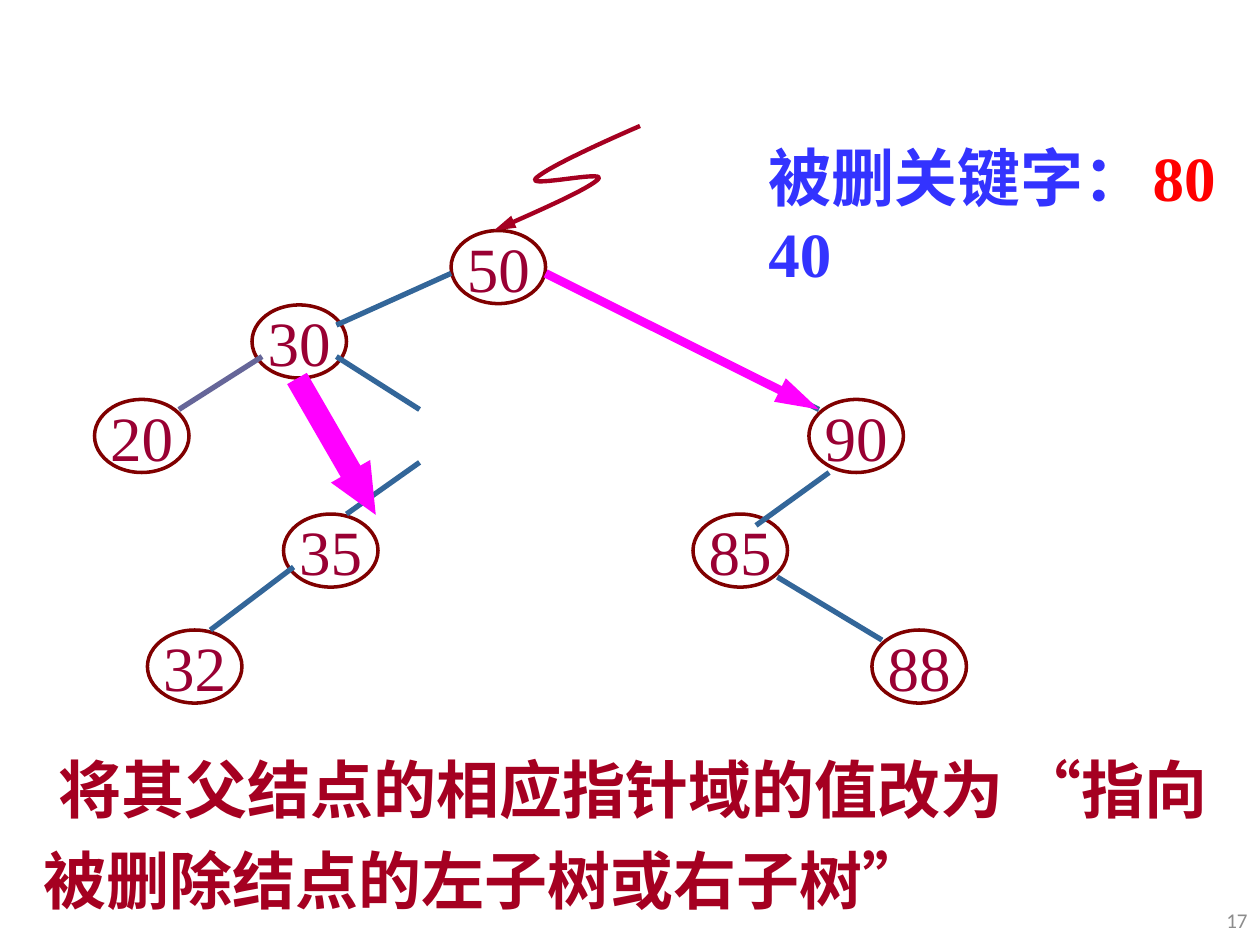
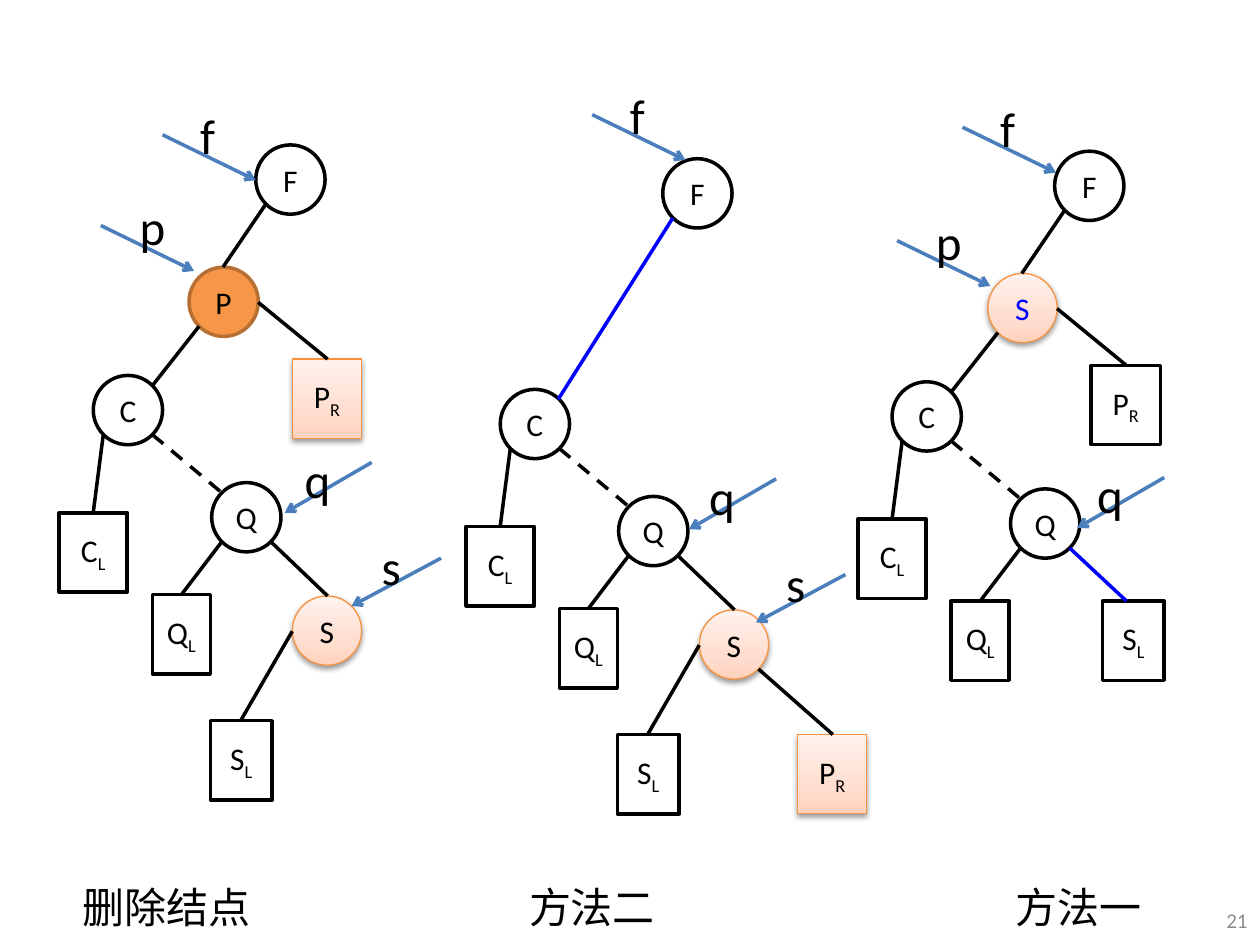
from lxml import etree
from pptx import Presentation
from pptx.dml.color import RGBColor
from pptx.enum.dml import MSO_LINE
from pptx.enum.shapes import MSO_CONNECTOR, MSO_SHAPE
from pptx.enum.text import MSO_ANCHOR, PP_ALIGN
from pptx.oxml import parse_xml
from pptx.oxml.ns import nsdecls, qn
from pptx.util import Inches, Pt

STRAIGHT = MSO_CONNECTOR.STRAIGHT
OVAL, BOX, DOWN_ARROW = MSO_SHAPE.OVAL, MSO_SHAPE.RECTANGLE, MSO_SHAPE.DOWN_ARROW
MIDDLE = MSO_ANCHOR.MIDDLE
LEFT, CENTER, RIGHT = PP_ALIGN.LEFT, PP_ALIGN.CENTER, PP_ALIGN.RIGHT
DASH = MSO_LINE.DASH

BLACK = RGBColor(0x00, 0x00, 0x00)
WHITE = RGBColor(0xFF, 0xFF, 0xFF)
GRAY = RGBColor(0x8C, 0x8C, 0x8C)
MAROON = RGBColor(0x80, 0x00, 0x00)
KEY_RED = RGBColor(0x99, 0x00, 0x33)
DARK_RED = RGBColor(0xA5, 0x00, 0x21)
RED = RGBColor(0xFF, 0x00, 0x00)
TITLE_BLUE = RGBColor(0x33, 0x33, 0xFF)
EDGE_BLUE = RGBColor(0x33, 0x66, 0x99)
EDGE_PURPLE = RGBColor(0x66, 0x66, 0x99)
MAGENTA = RGBColor(0xFF, 0x00, 0xFF)
BLUE = RGBColor(0x00, 0x00, 0xFF)
POINTER_BLUE = RGBColor(0x4B, 0x7E, 0xBC)
ORANGE = RGBColor(0xF7, 0x96, 0x46)
ORANGE_EDGE = RGBColor(0xB7, 0x6F, 0x34)
SOFT_EDGE = RGBColor(0xF6, 0x92, 0x40)

SOFT_FILL = (
    f'<a:gradFill {nsdecls("a")} rotWithShape="1"><a:gsLst>'
    '<a:gs pos="0"><a:srgbClr val="FFD2BD"/></a:gs>'
    '<a:gs pos="35000"><a:srgbClr val="FFDED0"/></a:gs>'
    '<a:gs pos="100000"><a:srgbClr val="FFF2ED"/></a:gs>'
    '</a:gsLst><a:lin ang="16200000" scaled="1"/></a:gradFill>'
)
SOFT_SHADOW = (
    f'<a:outerShdw {nsdecls("a")} blurRad="40000" dist="20000" dir="5400000" rotWithShape="0">'
    '<a:srgbClr val="000000"><a:alpha val="38000"/></a:srgbClr></a:outerShdw>'
)
SERIF = "Times New Roman"
LONG_HEAD = {"type": "triangle", "len": "lg"}
OPEN_HEAD = {"type": "arrow"}


def write(tf, text, size, color, font="Calibri", align=LEFT, bold=None, wrap=False, sub=""):
    tf.word_wrap = wrap
    p = tf.paragraphs[0]
    p.text = text
    p.alignment = align
    if sub:
        r = p.add_run()
        r.text = sub
        r.font._element.set("baseline", "-25000")
    for r in p.runs:
        r.font.name = font
        r.font.size = Pt(size)
        r.font.bold = bold
        r.font.color.rgb = color


def add_line(s, x1, y1, x2, y2, color=BLACK, width=2, head=None, dash=None):
    c = s.shapes.add_connector(STRAIGHT, Inches(x1), Inches(y1), Inches(x2), Inches(y2))
    c.line.color.rgb = color
    c.line.width = Pt(width)
    if dash:
        c.line.dash_style = dash
    if head:
        etree.SubElement(c.line._get_or_add_ln(), qn("a:tailEnd"), head)
    etree.SubElement(c._element.spPr, qn("a:effectLst"))


prs = Presentation()
prs.slide_width = Inches(10)
prs.slide_height = Inches(7.5)
blank = prs.slide_layouts[6]

s = prs.slides.add_slide(blank)
keys = [
    ("50", 3.58, 1.83), ("30", 2, 2.42), ("20", 0.75, 3.17), ("90", 6.42, 3.17),
    ("85", 5.5, 4.08), ("35", 2.25, 4.08), ("88", 6.92, 5), ("32", 1.17, 5),
]
for key, x, y in keys:
    sp = s.shapes.add_shape(OVAL, Inches(x), Inches(y), Inches(0.75), Inches(0.58))
    sp.shadow.inherit = False
    sp.fill.background()
    sp.line.color.rgb = MAROON
    sp.line.width = Pt(2)
    sp.text_frame.vertical_anchor = MIDDLE
    write(sp.text_frame, key, 36, KEY_RED, SERIF, CENTER)

edges = [
    (3.58, 2.17, 2.67, 2.58), (2.67, 2.83, 3.33, 3.25), (3.33, 3.67, 2.75, 4.08),
    (5.83, 2.92, 6.5, 3.25), (6.58, 3.75, 6, 4.17), (6.17, 4.58, 7, 5.08),
    (2.33, 4.5, 1.67, 5),
]
for edge in edges:
    add_line(s, *edge, EDGE_BLUE, 3)
add_line(s, 2.08, 2.83, 1.42, 3.25, EDGE_PURPLE, 3)

curve = [
    ((5.08, 1), (4.69, 1.17), (4.31, 1.35), (4.25, 1.42)),
    ((4.25, 1.42), (4.19, 1.49), (4.81, 1.35), (4.75, 1.42)),
    ((4.75, 1.42), (4.69, 1.49), (4.31, 1.66), (3.92, 1.83)),
]
points = []
for a, b, c, d in curve:
    for step in range(1, 17):
        t = step / 16
        weights = ((1 - t) ** 3, 3 * t * (1 - t) ** 2, 3 * t * t * (1 - t), t ** 3)
        x, y = (sum(w * q[i] for w, q in zip(weights, (a, b, c, d))) for i in (0, 1))
        points.append((Inches(x), Inches(y)))
builder = s.shapes.build_freeform(Inches(5.08), Inches(1))
builder.add_line_segments(points, close=False)
sp = builder.convert_to_shape()
sp.shadow.inherit = False
sp.fill.background()
sp.line.color.rgb = DARK_RED
sp.line.width = Pt(2.5)
etree.SubElement(sp.line._get_or_add_ln(), qn("a:tailEnd"), LONG_HEAD)

add_line(s, 4.33, 2.17, 6.5, 3.25, MAGENTA, 5, LONG_HEAD)

captions = [
    ("将其父结点的相应指针域的值改为 “指向被删除结点的左子树或右子树”", 0.25, 5.79, 9.5, 1.54, DARK_RED, 1.2, 0.12),
    ("被删关键字： 40", 6, 1.05, 3.87, 1.3, TITLE_BLUE, 1, 0),
    ("80", 9.05, 1.05, 0.7, 0.7, RED, 1, 0),
]
for text, x, y, w, h, color, spacing, indent in captions:
    tf = s.shapes.add_textbox(Inches(x), Inches(y), Inches(w), Inches(h)).text_frame
    write(tf, text, 36, color, SERIF, bold=True, wrap=len(text) > 2)
    p = tf.paragraphs[0]
    p.line_spacing = spacing
    p._p.get_or_add_pPr().set("indent", str(Inches(indent)))

sp = s.shapes.add_shape(DOWN_ARROW, Inches(2.49), Inches(2.92), Inches(0.36), Inches(1.25))
sp.adjustments[0] = 0.5
sp.adjustments[1] = 1.11
sp.rotation = 330
sp.shadow.inherit = False
sp.fill.solid()
sp.fill.fore_color.rgb = MAGENTA
sp.line.fill.background()

s = prs.slides.add_slide(blank)
SIZES = {"": (0.55, 0.55), "CL": (0.54, 0.63), "QL": (0.46, 0.63), "SL": (0.49, 0.63), "PR": (0.55, 0.63)}
POINTERS = {
    "f": (0.74, 0.36, 0.2, -0.28), "p": (0.74, 0.36, 0.21, -0.28),
    "q": (-0.69, 0.4, -0.63, -0.15), "s": (-0.71, 0.38, -0.57, -0.22),
}
shared_nodes = [
    ("F", 2.03, 1.15, "plain"), ("C", 0.74, 2.98, "plain"), ("Q", 1.68, 3.83, "plain"),
    ("CL", 0.47, 4.07, "plain"), ("QL", 1.21, 4.72, "plain"),
]
shared_edges = [(0.82, 3.45, 0.74, 4.07), (1.76, 4.3, 1.44, 4.72)]
p_edges = [(2.11, 1.62, 1.77, 2.12), (1.58, 2.59, 1.21, 3.06), (2.05, 2.4, 2.6, 2.85)]
s_nodes = [("S", 2.32, 4.73, "soft"), ("SL", 1.67, 5.72, "plain")]
s_edges = [(2.15, 4.3, 2.6, 4.73), (2.32, 5.01, 1.91, 5.72)]

trees = [
    (0, 0, [("P", 1.5, 2.12, "orange"), ("PR", 2.32, 2.85, "soft")] + s_nodes,
     p_edges + s_edges, None,
     [("f", 1.29, 1.07), ("p", 0.8, 1.79), ("s", 3.5, 4.43), ("q", 2.95, 3.67)]),
    (3.23, 0.11, [("PR", 3.1, 5.72, "soft")] + s_nodes,
     [(2.79, 5.2, 3.38, 5.72)] + s_edges, (2.11, 1.62, 1.2, 3.06),
     [("f", 4.7, 0.91), ("s", 6.71, 4.56), ("q", 6.16, 3.8)]),
    (6.34, 0.05, [("S", 1.5, 2.12, "soft blue"), ("PR", 2.32, 2.85, "plain"), ("SL", 2.41, 4.72, "plain")],
     p_edges, (2.15, 4.3, 2.6, 4.72),
     [("f", 7.64, 1.01), ("p", 7.12, 1.91), ("q", 9.24, 3.79)]),
]
for dx, dy, nodes, edges, new_edge, pointers in trees:
    for label, x, y, style in shared_nodes + nodes:
        w, h = SIZES.get(label, SIZES[""])
        kind = BOX if label in SIZES else OVAL
        sp = s.shapes.add_shape(kind, Inches(x + dx), Inches(y + dy), Inches(w), Inches(h))
        sp.shadow.inherit = False
        if style.startswith("soft"):
            spPr = sp._element.spPr
            spPr.find(qn("a:prstGeom")).addnext(parse_xml(SOFT_FILL))
            spPr.find(qn("a:effectLst")).append(parse_xml(SOFT_SHADOW))
            sp.line.color.rgb = SOFT_EDGE
            sp.line.width = Pt(0.75)
        else:
            sp.fill.solid()
            sp.fill.fore_color.rgb = ORANGE if style == "orange" else WHITE
            sp.line.color.rgb = ORANGE_EDGE if style == "orange" else BLACK
            sp.line.width = Pt(2)
        sp.text_frame.vertical_anchor = MIDDLE
        color = BLUE if style == "soft blue" else BLACK
        write(sp.text_frame, label[0], 18, color, align=CENTER, sub=label[1:])
    for x1, y1, x2, y2 in shared_edges + edges:
        add_line(s, x1 + dx, y1 + dy, x2 + dx, y2 + dy)
    add_line(s, 1.21 + dx, 3.45 + dy, 1.76 + dx, 3.91 + dy, dash=DASH)
    if new_edge:
        x1, y1, x2, y2 = new_edge
        add_line(s, x1 + dx, y1 + dy, x2 + dx, y2 + dy, BLUE)
    for name, x, y in pointers:
        run, drop, left, top = POINTERS[name]
        add_line(s, x, y, x + run, y + drop, POINTER_BLUE, 2, OPEN_HEAD)
        tb = s.shapes.add_textbox(Inches(x + left), Inches(y + top), Inches(0.4), Inches(0.57))
        write(tb.text_frame, name, 28, BLACK)

for text, x, w in [("删除结点", 0.56, 1.72), ("方法二", 4.1, 1.21), ("方法一", 7.96, 1.21)]:
    tb = s.shapes.add_textbox(Inches(x), Inches(6.95), Inches(w), Inches(0.5))
    write(tb.text_frame, text, 24, BLACK, wrap=True)

for s, number in zip(prs.slides, ("17", "21")):
    tb = s.shapes.add_textbox(Inches(9.57), Inches(7.1), Inches(0.43), Inches(0.4))
    tb.text_frame.vertical_anchor = MIDDLE
    write(tb.text_frame, number, 12, GRAY, align=RIGHT, wrap=True)

prs.save("out.pptx")
